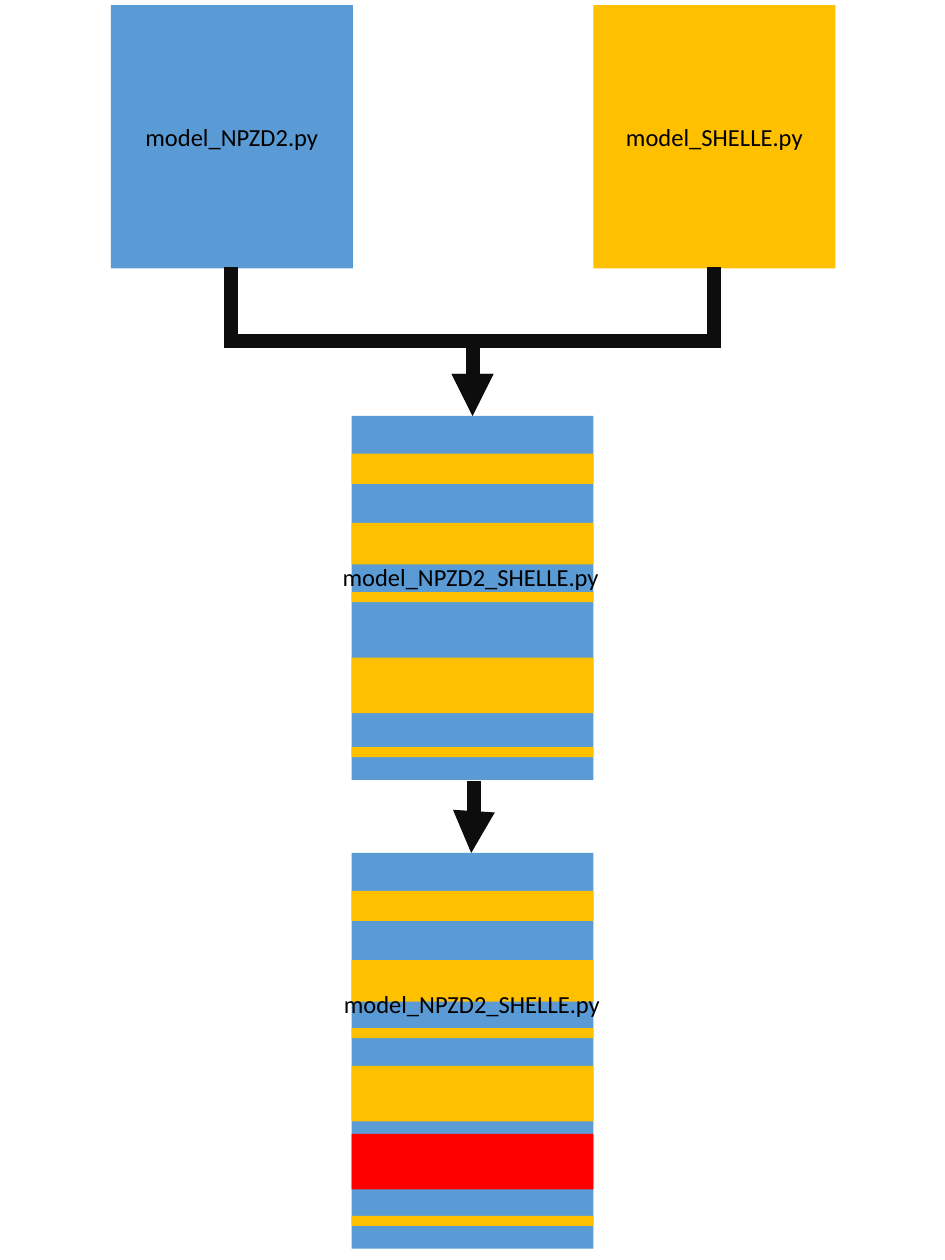
from lxml import etree
from pptx import Presentation
from pptx import util as u
from pptx.dml.color import RGBColor
from pptx.enum import shapes, text
from pptx.oxml.ns import qn

BLUE = RGBColor(0x5B, 0x9B, 0xD5)
GOLD = RGBColor(0xFF, 0xC0, 0x00)
RED = RGBColor(0xFF, 0x00, 0x00)
INK = RGBColor(0x0D, 0x0D, 0x0D)
BLACK = RGBColor(0x00, 0x00, 0x00)

BLOCK_W = 1.92
MERGED_X = 2.79

# left, top, height, colour, label
MODELS = [
    (0.88, 0.04, 2.09, BLUE, "model_NPZD2.py"),
    (4.71, 0.04, 2.09, GOLD, "model_SHELLE.py"),
]

# Stripes are (offset from block top, height, colour)
MERGED = [
    dict(top=3.3, height=2.89, label="model_NPZD2_SHELLE.py", label_at=(2.62, 4.41),
         stripes=[(0.3, 0.24, GOLD), (0.85, 0.33, GOLD), (1.4, 0.08, GOLD),
                  (1.92, 0.44, GOLD), (2.63, 0.08, GOLD)]),
    dict(top=6.77, height=3.14, label="model_NPZD2_SHELLE.py", label_at=(2.63, 7.8),
         stripes=[(0.3, 0.24, GOLD), (0.85, 0.33, GOLD), (1.39, 0.08, GOLD),
                  (1.69, 0.44, GOLD), (2.88, 0.08, GOLD), (2.23, 0.44, RED)]),
]

# start x, start y, end x, end y
ARROWS = [
    (1.83, 2.12, 3.75, 3.3),
    (5.67, 2.12, 3.75, 3.3),
    (3.76, 6.2, 3.74, 6.77),
]


def write(tf, label, size=14, font="Calibri", color=BLACK, align=None):
    """Put one formatted line of text in a text frame."""
    p = tf.paragraphs[0]
    p.alignment = align
    r = p.add_run()
    r.text = label
    r.font.size = u.Pt(size)
    r.font.name = font
    r.font.color.rgb = color


def add_block(s, left, top, height, color):
    """Add a plain filled rectangle of the common width."""
    sp = s.shapes.add_shape(shapes.MSO_SHAPE.RECTANGLE, u.Inches(left), u.Inches(top),
                            u.Inches(BLOCK_W), u.Inches(height))
    sp.shadow.inherit = False
    sp.fill.solid()
    sp.fill.fore_color.rgb = color
    sp.line.fill.background()
    return sp


def add_arrow(s, x1, y1, x2, y2):
    """Add an elbow arrow that leaves and arrives vertically."""
    # The elbow runs horizontally by default, so swap its extents and turn it.
    cx, cy = (x1 + x2) / 2, (y1 + y2) / 2
    half_w, half_h = (y2 - y1) / 2, abs(x2 - x1) / 2
    side = 1 if x2 > x1 else -1
    cn = s.shapes.add_connector(
        shapes.MSO_CONNECTOR.ELBOW,
        u.Inches(cx + side * half_w), u.Inches(cy - half_h),
        u.Inches(cx - side * half_w), u.Inches(cy + half_h))
    cn.line.color.rgb = INK
    cn.line.width = u.Pt(8)
    sp_pr = cn._element.spPr
    sp_pr.find(qn("a:xfrm")).set("rot", str((270 if side > 0 else 90) * 60000))
    ln = sp_pr.find(qn("a:ln"))
    etree.SubElement(ln, qn("a:miter"), lim="800000")
    etree.SubElement(ln, qn("a:tailEnd"), type="triangle")
    etree.SubElement(sp_pr, qn("a:effectLst"))


def add_label(s, left, top, label):
    """Add an unwrapped text label."""
    tb = s.shapes.add_textbox(u.Inches(left), u.Inches(top), u.Inches(2.25), u.Inches(0.34))
    tf = tb.text_frame
    tf.word_wrap = False
    tf.auto_size = text.MSO_AUTO_SIZE.SHAPE_TO_FIT_TEXT
    write(tf, label)


prs = Presentation()
prs.slide_width, prs.slide_height = u.Inches(7.5), u.Inches(10)
s = prs.slides.add_slide(prs.slide_layouts[6])

for left, top, height, color, label in MODELS:
    tf = add_block(s, left, top, height, color).text_frame
    tf.vertical_anchor = text.MSO_ANCHOR.MIDDLE
    write(tf, label, align=text.PP_ALIGN.CENTER)

for block in MERGED:
    add_block(s, MERGED_X, block["top"], block["height"], BLUE)
    for offset, height, color in block["stripes"]:
        add_block(s, MERGED_X, block["top"] + offset, height, color)

for arrow in ARROWS:
    add_arrow(s, *arrow)

for block in MERGED:
    add_label(s, *block["label_at"], block["label"])

prs.save("out.pptx")
